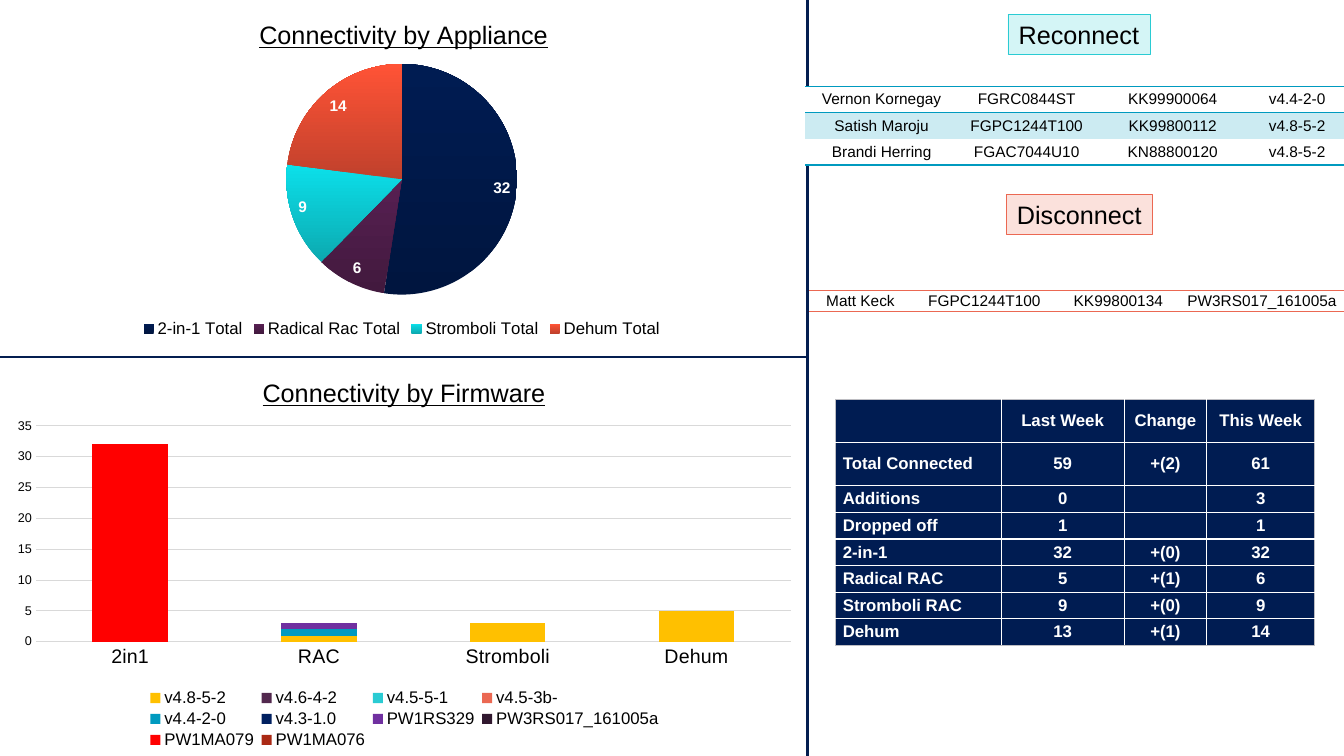
import lxml.etree
import pptx
import pptx.chart.data
import pptx.dml.color
import pptx.enum.chart
import pptx.enum.shapes
import pptx.enum.text
import pptx.oxml
import pptx.oxml.ns
import pptx.util

Cm, Pt = pptx.util.Cm, pptx.util.Pt
RGB = pptx.dml.color.RGBColor
qn = pptx.oxml.ns.qn
CENTER = pptx.enum.text.PP_ALIGN.CENTER
LEFT = pptx.enum.text.PP_ALIGN.LEFT

FONT = "Arial"
BLACK, WHITE = RGB(0, 0, 0), RGB(255, 255, 255)
NAVY, RULE = RGB(0x00, 0x1C, 0x52), RGB(0x04, 0x1E, 0x50)
GRID, FRAME = RGB(0xD9, 0xD9, 0xD9), RGB(0xBD, 0xBD, 0xC2)
TEAL, BAND = RGB(0x00, 0x9A, 0xBF), RGB(0xCC, 0xEB, 0xF2)
AQUA, PALE_AQUA = RGB(0x2A, 0xCB, 0xD3), RGB(0xD4, 0xF5, 0xF6)
CORAL, PALE_CORAL = RGB(0xEB, 0x68, 0x52), RGB(0xFB, 0xE1, 0xDC)
PLAIN_TABLE = "{2D5ABB26-0587-4C30-8999-92F81FD0307C}"

# Appliance, count, dark and light ends of the slice's gradient
APPLIANCES = [
    ("2-in-1 Total", 32, RGB(0x00, 0x15, 0x3F), NAVY),
    ("Radical Rac Total", 6, RGB(0x42, 0x19, 0x3E), RGB(0x57, 0x20, 0x52)),
    ("Stromboli Total", 9, RGB(0x0C, 0xA9, 0xB0), RGB(0x0C, 0xE0, 0xEA)),
    ("Dehum Total", 14, RGB(0xC0, 0x41, 0x2C), RGB(0xFF, 0x53, 0x36)),
]
FIRMWARE = [
    ("v4.8-5-2", (0, 1, 3, 5), RGB(0xFF, 0xC0, 0x00)),
    ("v4.6-4-2", (0, 0, 0, 0), RGB(0x52, 0x28, 0x4E)),
    ("v4.5-5-1", (0, 0, 0, 0), AQUA),
    ("v4.5-3b-", (0, 0, 0, 0), CORAL),
    ("v4.4-2-0", (0, 1, 0, 0), TEAL),
    ("v4.3-1.0", (0, 0, 0, 0), RGB(0x00, 0x20, 0x60)),
    ("PW1RS329", (0, 1, 0, 0), RGB(0x70, 0x30, 0xA0)),
    ("PW3RS017_161005a", (0, 0, 0, 0), RGB(0x31, 0x18, 0x2F)),
    ("PW1MA079", (32, 0, 0, 0), RGB(0xFF, 0x00, 0x00)),
    ("PW1MA076", (0, 0, 0, 0), RGB(0xAA, 0x29, 0x14)),
]
RECONNECTED = [
    ("Vernon Kornegay", "FGRC0844ST", "KK99900064", "v4.4-2-0"),
    ("Satish Maroju", "FGPC1244T100", "KK99800112", "v4.8-5-2"),
    ("Brandi Herring", "FGAC7044U10", "KN88800120", "v4.8-5-2"),
]
DISCONNECTED = [("Matt Keck", "FGPC1244T100", "KK99800134", "PW3RS017_161005a")]
WEEKLY = [
    ("", "Last Week", "Change", "This Week"),
    ("Total Connected", "59", "+(2)", "61"),
    ("Additions", "0", "", "3"),
    ("Dropped off", "1", "", "1"),
    ("2-in-1", "32", "+(0)", "32"),
    ("Radical RAC", "5", "+(1)", "6"),
    ("Stromboli RAC", "9", "+(0)", "9"),
    ("Dehum", "13", "+(1)", "14"),
]


def set_font(font, size, color=BLACK, bold=False):
    font.name, font.size, font.bold = FONT, Pt(size), bold
    font.color.rgb = color


def set_layout(element, index, inner=False, **fractions):
    """Place a chart part by fractions of the chart's size."""
    for old in element.findall(qn("c:layout")):
        element.remove(old)
    layout = lxml.etree.Element(qn("c:layout"))
    manual = lxml.etree.SubElement(layout, qn("c:manualLayout"))
    settings = {"layoutTarget": "inner"} if inner else {}
    settings.update(xMode="edge", yMode="edge", **fractions)
    for name, value in settings.items():
        lxml.etree.SubElement(manual, qn("c:" + name)).set("val", str(value))
    element.insert(index, layout)


def add_titled_chart(page, box, kind, data, title, plot_area):
    chart = page.shapes.add_chart(kind, *map(Cm, box), data).chart
    set_font(chart.font, 10)
    chart.has_title = True
    para = chart.chart_title.text_frame.paragraphs[0]
    para.text = title
    set_font(para.font, 18)
    para.font.underline = True
    set_layout(chart.chart_title._element, 1, x=0.318, y=0.045)
    set_layout(chart._chartSpace.chart.plotArea, 0, inner=True, **plot_area)
    chart.has_legend = True
    chart.legend.position = pptx.enum.chart.XL_LEGEND_POSITION.BOTTOM
    chart.legend.include_in_layout = False
    set_font(chart.legend.font, 12)
    return chart


def add_appliance_pie(page, box):
    data = pptx.chart.data.CategoryChartData()
    data.categories = [row[0] for row in APPLIANCES]
    data.add_series("Series 1", [row[1] for row in APPLIANCES])
    chart = add_titled_chart(page, box, pptx.enum.chart.XL_CHART_TYPE.PIE, data,
                             "Connectivity by Appliance", dict(x=0.357, y=0.19, w=0.286, h=0.673))
    plot = chart.plots[0]
    for index, (_, _, dark, light) in enumerate(APPLIANCES):
        fill = plot.series[0].points[index].format.fill
        fill.gradient()
        fill.gradient_angle = 90
        for stop, color in zip(fill.gradient_stops, (dark, light)):
            stop.color.rgb = color
    plot.has_data_labels = True
    labels = plot.data_labels
    labels.show_value, labels.show_percentage = True, False
    labels.position = pptx.enum.chart.XL_LABEL_POSITION.INSIDE_END
    set_font(labels.font, 11, WHITE, True)


def add_firmware_columns(page, box):
    data = pptx.chart.data.CategoryChartData()
    data.categories = ["2in1", "RAC", "Stromboli", "Dehum"]
    for name, counts, _ in FIRMWARE:
        data.add_series(name, counts)
    chart = add_titled_chart(page, box, pptx.enum.chart.XL_CHART_TYPE.COLUMN_STACKED, data,
                             "Connectivity by Firmware", dict(x=0.042, y=0.18, w=0.938, h=0.541))
    set_layout(chart.legend._element, 1, x=0.175, y=0.832, w=0.65, h=0.165)
    plot = chart.plots[0]
    plot.gap_width, plot.overlap, plot.vary_by_categories = 150, 100, False
    for series, (_, _, color) in zip(plot.series, FIRMWARE):
        series.format.fill.solid()
        series.format.fill.fore_color.rgb = color
    counts, appliances = chart.value_axis, chart.category_axis
    for axis, size in ((counts, 9), (appliances, 14)):
        axis.major_tick_mark = axis.minor_tick_mark = pptx.enum.chart.XL_TICK_MARK.NONE
        set_font(axis.tick_labels.font, size)
    counts.minimum_scale, counts.maximum_scale, counts.major_unit = 0, 35, 5
    counts.format.line.fill.background()
    for line in (counts.major_gridlines.format.line, appliances.format.line):
        line.color.rgb, line.width = GRID, Pt(0.75)


def set_borders(cell, borders):
    """Draw the sides named in borders (L, R, T, B) and clear the others."""
    properties = cell._tc.get_or_add_tcPr()
    for side in "LRTB":
        line = lxml.etree.SubElement(properties, qn("a:ln" + side))
        if side in borders:
            color, width = borders[side]
            line.set("w", str(Pt(width)))
            fill = lxml.etree.SubElement(line, qn("a:solidFill"))
            lxml.etree.SubElement(fill, qn("a:srgbClr")).set("val", str(color))
        else:
            lxml.etree.SubElement(line, qn("a:noFill"))


def add_grid(page, left, top, widths, heights, rows, style_cell):
    """Add a table; style_cell returns borders, fill, alignment and font settings."""
    frame = page.shapes.add_table(len(rows), len(widths), Cm(left), Cm(top),
                                  Cm(sum(widths)), Cm(sum(heights)))
    table = frame.table
    table.first_row = table.horz_banding = False
    table._tbl.tblPr.find(qn("a:tableStyleId")).text = PLAIN_TABLE
    for column, width in zip(table.columns, widths):
        column.width = Cm(width)
    for r, (row, height) in enumerate(zip(rows, heights)):
        table.rows[r].height = Cm(height)
        for c, text in enumerate(row):
            cell = table.cell(r, c)
            borders, fill, align, font = style_cell(r, c)
            set_borders(cell, borders)
            cell.fill.solid()
            cell.fill.fore_color.rgb = fill
            cell.margin_left = cell.margin_right = Cm(0.18)
            cell.margin_top = cell.margin_bottom = 0
            cell.vertical_anchor = pptx.enum.text.MSO_ANCHOR.MIDDLE
            para = cell.text_frame.paragraphs[0]
            para.text, para.alignment = text, align
            set_font(para.font, *font)


def add_change_list(page, box, heading, label, colors, table_at, widths, row_height, rows):
    left, top = box
    dx, dy, width, height = label
    fill, outline, line_color = colors
    # Heading label
    shape = page.shapes.add_shape(pptx.enum.shapes.MSO_SHAPE.RECTANGLE, Cm(left + dx),
                                  Cm(top + dy), Cm(width), Cm(height))
    shape.shadow.inherit = False
    shape.fill.solid()
    shape.fill.fore_color.rgb = fill
    shape.line.color.rgb, shape.line.width = outline, Pt(0.5)
    shape.text_frame.word_wrap = False
    para = shape.text_frame.paragraphs[0]
    para.text, para.alignment = heading, CENTER
    set_font(para.font, 18)

    # Ruled list with every second row banded
    def style_cell(r, c):
        edge = (line_color, 1)
        borders = {"T": edge} if r < 2 else {}
        if r == 0 or r == len(rows) - 1:
            borders["B"] = edge
        return borders, BAND if r % 2 else WHITE, CENTER, (11,)

    add_grid(page, left + table_at[0], top + table_at[1], widths,
             [row_height] * len(rows), rows, style_cell)


def add_weekly_table(page, box):
    def style_cell(r, c):
        outer = {"L": c == 0, "R": c == 3, "T": r == 0, "B": r == len(WEEKLY) - 1}
        borders = {side: (FRAME, 0.5) if edge else (WHITE, 1) for side, edge in outer.items()}
        return borders, NAVY, CENTER if c else LEFT, (12, WHITE, True)

    add_grid(page, *box, [4.17, 3.1, 2.08, 2.72], [1.09] * 2 + [0.67] * 6, WEEKLY, style_cell)


def add_dividers(page, box):
    left, top, right, middle, bottom = box
    for ends in ((left, middle, right, middle), (right, middle, right, top),
                 (right, middle, right, bottom)):
        line = page.shapes.add_connector(pptx.enum.shapes.MSO_CONNECTOR.STRAIGHT, *map(Cm, ends))
        line.line.color.rgb, line.line.width = RULE, Pt(1.5)
        lxml.etree.SubElement(line._element.spPr, qn("a:effectLst"))


def main():
    deck = pptx.Presentation()
    deck.slide_width, deck.slide_height = Cm(33.87), Cm(19.05)
    page = deck.slides.add_slide(deck.slide_layouts[6])
    add_dividers(page, (0, 0, 20.35, 8.99, 19.05))
    add_appliance_pie(page, (-0.05, -0.03, 20.35, 8.64))
    add_firmware_columns(page, (0.05, 8.92, 20.29, 10.06))
    add_change_list(page, (20.35, 0), "Reconnect", (5.05, 0.36, 3.58, 1.02),
                    (PALE_AQUA, AQUA, TEAL), (-0.06, 2.18), [3.86, 3.45, 3.91, 2.36],
                    0.66, RECONNECTED)
    add_change_list(page, (20.35, 4.5), "Disconnect", (5.02, 0.4, 3.66, 1.02),
                    (PALE_CORAL, CORAL, CORAL), (0.05, 2.82), [2.57, 3.68, 3.07, 4.17],
                    0.53, DISCONNECTED)
    add_weekly_table(page, (21.06, 10.06))
    deck.save("out.pptx")


if __name__ == "__main__":
    main()
